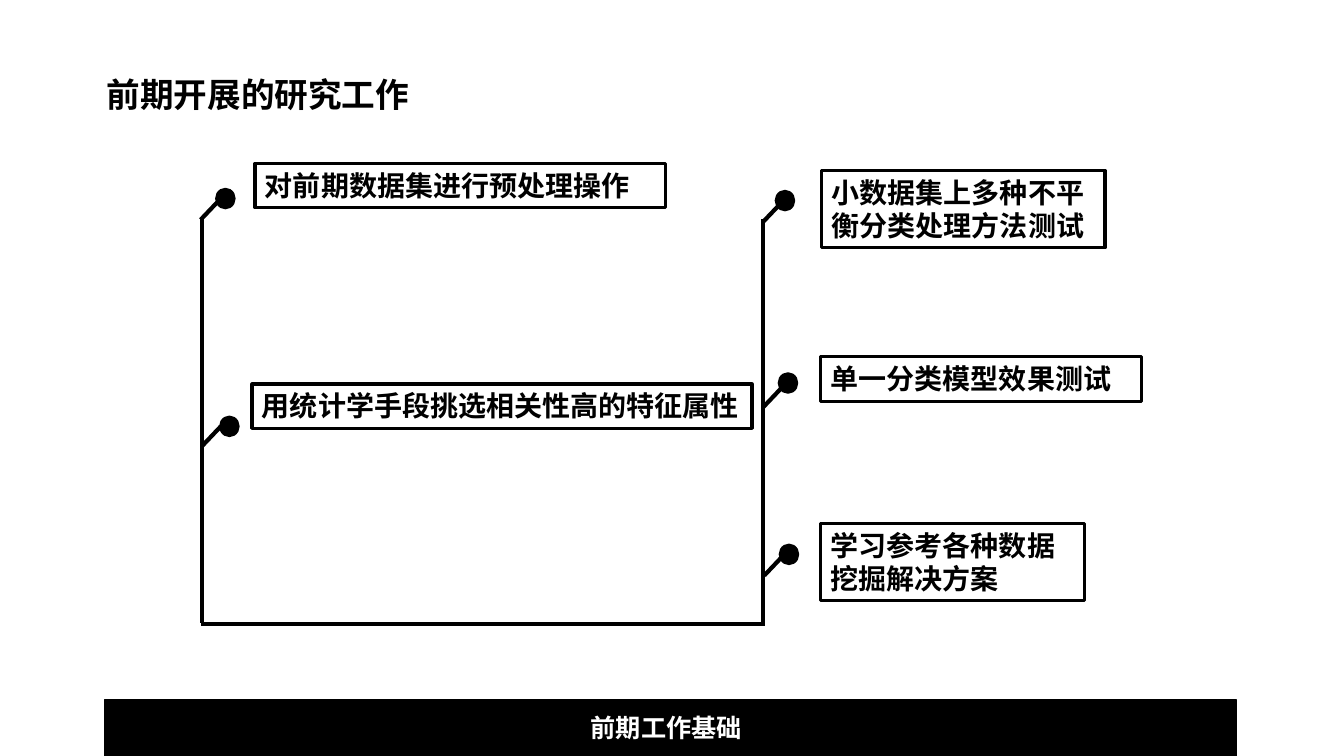
from typing import NamedTuple

from lxml import etree
from pptx import Presentation
from pptx.dml.color import RGBColor
from pptx.enum import shapes, text
from pptx.oxml import ns
from pptx.util import Inches, Pt

COLORS = {"ink": "000000", "paper": "FFFFFF"}
FONT = "Noto Sans CJK SC"
DOT_W, DOT_H = 0.19, 0.2
STEM_DX, STEM_DY = 0.19, -0.2


class Topic(NamedTuple):
    label: str
    box: tuple[float, float, float, float]
    stem: tuple[float, float]  # where the branch leaves the trunk
    dot: tuple[float, float]   # top left corner of the dot


class Line(NamedTuple):
    x1: float
    y1: float
    x2: float
    y2: float


TOPICS = [
    Topic("对前期数据集进行预处理操作", (2.53, 1.62, 4.07, 0.44), (1.99, 2.18), (2.14, 1.87)),
    Topic("用统计学手段挑选相关性高的特征属性", (2.5, 3.81, 4.96, 0.44), (2, 4.43), (2.18, 4.13)),
    Topic("小数据集上多种不平衡分类处理方法测试", (8.15, 1.69, 2.81, 0.77), (7.57, 2.2), (7.69, 1.89)),
    Topic("单一分类模型效果测试", (8.14, 3.54, 3.18, 0.44), (7.57, 4.04), (7.72, 3.7)),
    Topic("学习参考各种数据挖掘解决方案", (8.14, 5.19, 2.62, 0.77), (7.58, 5.71), (7.73, 5.4)),
]

TRUNK = [
    Line(2, 2.16, 2, 6.18),
    Line(1.99, 6.19, 7.59, 6.19),
    Line(7.57, 2.17, 7.57, 6.19),
]


def rgb(name: str) -> RGBColor:
    return RGBColor.from_string(COLORS[name])


def add_text(slide, label: str, x: float, y: float, w: float, h: float, *,
             size: float = 20, color: str = "ink", border: float = 0,
             align=text.PP_ALIGN.LEFT) -> None:
    """Add a bold text box, outlined when border is given in points."""
    sp = slide.shapes.add_textbox(*map(Inches, (x, y, w, h)))
    if border:
        sp.line.color.rgb = rgb("ink")
        sp.line.width = Pt(border)
    tf = sp.text_frame
    tf.word_wrap = True
    tf.auto_size = text.MSO_AUTO_SIZE.SHAPE_TO_FIT_TEXT
    p = tf.paragraphs[0]
    p.alignment = align
    r = p.add_run()
    r.text = label
    r.font.size = Pt(size)
    r.font.bold = True
    r.font.color.rgb = rgb(color)
    r.font.name = FONT
    # Chinese glyphs take the East Asian typeface
    etree.SubElement(r.font._element, ns.qn("a:ea"), typeface=FONT)


def add_solid(slide, kind, x: float, y: float, w: float, h: float) -> None:
    sp = slide.shapes.add_shape(kind, *map(Inches, (x, y, w, h)))
    sp.shadow.inherit = False
    sp.fill.solid()
    sp.fill.fore_color.rgb = rgb("ink")
    sp.line.color.rgb = rgb("ink")
    sp.line.width = Pt(1)


def add_line(slide, line: Line) -> None:
    cxn = slide.shapes.add_connector(shapes.MSO_CONNECTOR.STRAIGHT, *map(Inches, line))
    cxn.line.color.rgb = rgb("ink")
    cxn.line.width = Pt(3)
    etree.SubElement(cxn._element.spPr, ns.qn("a:effectLst"))


def add_topic(slide, topic: Topic) -> None:
    x, y = topic.stem
    add_line(slide, Line(x, y, x + STEM_DX, y + STEM_DY))
    add_solid(slide, shapes.MSO_SHAPE.OVAL, *topic.dot, DOT_W, DOT_H)
    add_text(slide, topic.label, *topic.box, border=2.25)


def main() -> None:
    prs = Presentation()
    prs.slide_width, prs.slide_height = Inches(13.33), Inches(7.5)
    slide = prs.slides.add_slide(prs.slide_layouts[6])

    # Title
    add_text(slide, "前期开展的研究工作", 0.96, 0.68, 3.6, 0.81, size=24)

    # Trunk and its topics
    for line in TRUNK:
        add_line(slide, line)
    for topic in TOPICS:
        add_topic(slide, topic)

    # Footer bar
    add_solid(slide, shapes.MSO_SHAPE.RECTANGLE, 1.04, 6.94, 11.22, 0.56)
    add_text(slide, "前期工作基础", 5.76, 7.02, 1.78, 0.4, size=18, color="paper")

    prs.save("out.pptx")


if __name__ == "__main__":
    main()
